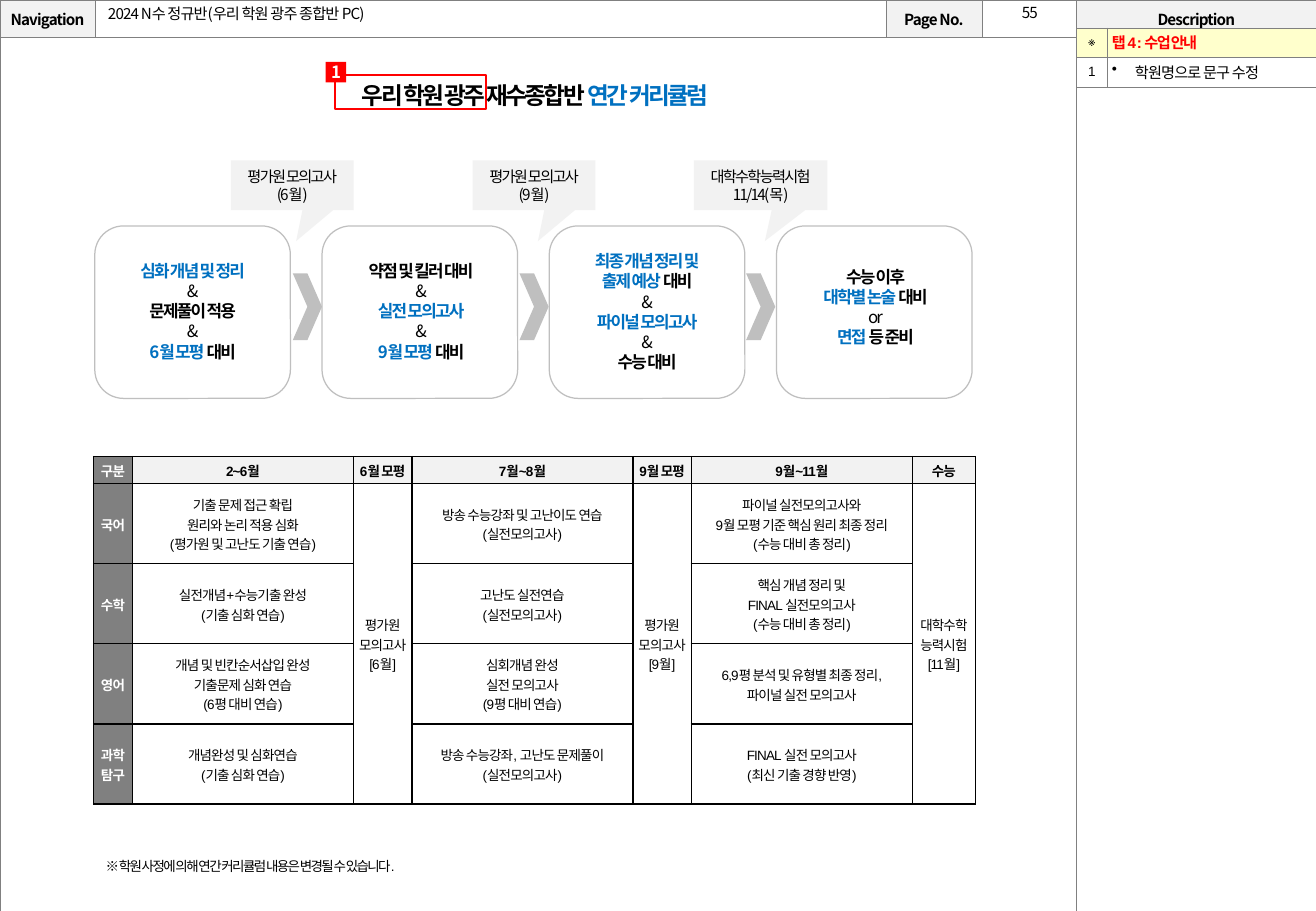
import pptx
import pptx.util
import pptx.dml.color
import pptx.enum.shapes
import pptx.enum.text
from lxml import etree

Inches, Pt = pptx.util.Inches, pptx.util.Pt
SHAPE = pptx.enum.shapes.MSO_SHAPE
ALIGN = pptx.enum.text.PP_ALIGN
MIDDLE = pptx.enum.text.MSO_ANCHOR.MIDDLE
A = "{http://schemas.openxmlformats.org/drawingml/2006/main}"
NOTO, ARIAL = "Noto Sans CJK KR", "Arial"
BLACK, WHITE, BLUE, RED = "000000", "FFFFFF", "0070C0", "FF0000"
PALE, MID, SILVER, YELLOW = "F2F2F2", "808080", "BFBFBF", "FFFFCC"


def paint(fill, color):
    fill.solid()
    fill.fore_color.rgb = pptx.dml.color.RGBColor.from_string(color)


def write(frame, lines, size, latin=NOTO, spc=0, color=BLACK, bold=False,
          align=ALIGN.CENTER, spacing=None):
    """Each line is a string or a list of (text, color, bold) runs."""
    for number, line in enumerate(lines):
        paragraph = frame.add_paragraph() if number else frame.paragraphs[0]
        paragraph.alignment = align
        paragraph.line_spacing = spacing
        runs = [(line, color, bold)] if isinstance(line, str) else line
        for text, run_color, run_bold in runs:
            run = paragraph.add_run()
            run.text = text
            font = {"size": Pt(size), "name": latin, "bold": run_bold}
            for key, value in font.items():
                setattr(run.font, key, value)
            paint(run.font.fill, run_color)
            properties = run.font._element
            properties.set("spc", str(int(spc * 100)))
            etree.SubElement(properties, A + "ea", typeface=NOTO)


deck = pptx.Presentation()
deck.slide_width, deck.slide_height = Inches(10.83), Inches(7.5)
slide = deck.slides.add_slide(deck.slide_layouts[6])
shapes = slide.shapes

# Tables: left, top, columns, rows, cell margins, border width, border colour
table_layouts = [
    (0, 0, [0.78, 6.51, 0.79, 0.78, 1.97], [0.24, 7.26], (0, 0, 0, 0), 0.25, MID),
    (8.86, 0.23, [0.25, 1.72], [0.24] * 2, (0.04,) * 4, 0.25, MID),
    (0.77, 3.76, [0.32, 1.82, 0.48, 1.82, 0.48, 1.82, 0.52], [0.22] + [0.66] * 4,
     (0.01, 0.01, 0.01, 0), 1, BLACK),
]
tables = []
for left, top, columns, rows, margins, border, border_color in table_layouts:
    table = shapes.add_table(len(rows), len(columns), Inches(left), Inches(top),
                             Inches(sum(columns)), Inches(sum(rows))).table
    table.first_row = table.horz_banding = False
    for column, width in zip(table.columns, columns):
        column.width = Inches(width)
    for row, height in zip(table.rows, rows):
        row.height = Inches(height)
    for cell in table.iter_cells():
        sides = ("margin_left", "margin_top", "margin_right", "margin_bottom")
        for side, margin in zip(sides, margins):
            setattr(cell, side, Inches(margin))
        cell.vertical_anchor = MIDDLE
        cell_properties = cell._tc.get_or_add_tcPr()
        for edge in ("lnL", "lnR", "lnT", "lnB"):
            line = etree.SubElement(cell_properties, A + edge, w=str(Pt(border)))
            solid = etree.SubElement(line, A + "solidFill")
            etree.SubElement(solid, A + "srgbClr", val=border_color)
        paint(cell.fill, WHITE)
    tables.append(table)
page_frame, description, curriculum = tables

# Page frame
page_frame.cell(1, 0).merge(page_frame.cell(1, 3))
for column, heading in ((0, "Navigation"), (2, "Page No."), (4, "Description")):
    cell = page_frame.cell(0, column)
    paint(cell.fill, PALE)
    write(cell.text_frame, [heading], 9, spc=-0.5, bold=True)

# Description panel
for column in range(2):
    paint(description.cell(0, column).fill, YELLOW)
notes = [
    (0, 0, "※", dict(size=8, spc=-1)),
    (0, 1, "탭 4 : 수업 안내", dict(size=9, spc=-1, color=RED, bold=True, align=ALIGN.LEFT)),
    (1, 0, "1", dict(size=8, spc=-1)),
    (1, 1, "학원명으로 문구 수정", dict(size=9, spc=-0.5, align=ALIGN.LEFT)),
]
for row, column, text, style in notes:
    write(description.cell(row, column).text_frame, [text], latin=ARIAL, spacing=0.9, **style)
bullet_properties = description.cell(1, 1).text_frame.paragraphs[0]._p.get_or_add_pPr()
bullet_properties.set("marL", str(Inches(0.19)))
bullet_properties.set("indent", str(Inches(-0.19)))
etree.SubElement(bullet_properties, A + "buChar", char="•")

# Curriculum table
curriculum_text = [
    ["구분", "2~6월", "6월 모평", "7월~8월", "9월 모평", "9월~11월", "수능"],
    ["국어", "기출 문제 접근 확립\n원리와 논리 적용 심화\n(평가원 및 고난도 기출 연습)",
     "평가원\n모의고사\n[6월]", "방송 수능강좌 및 고난이도 연습\n(실전모의고사)",
     "평가원\n모의고사\n[9월]",
     "파이널 실전모의고사와\n9월 모평 기준 핵심 원리 최종 정리\n(수능 대비 총 정리)",
     "대학수학\n능력시험\n[11월]"],
    ["수학", "실전개념+수능기출 완성\n(기출 심화 연습)", None,
     "고난도 실전연습\n(실전모의고사)", None,
     "핵심 개념 정리 및\nFINAL 실전모의고사\n(수능 대비 총 정리)", None],
    ["영어", "개념 및 빈칸순서삽입 완성\n기출문제 심화 연습\n(6평 대비 연습)", None,
     "심회개념 완성\n실전 모의고사\n(9평 대비 연습)", None,
     "6,9평 분석 및 유형별 최종 정리,\n파이널 실전 모의고사", None],
    ["과학\n탐구", "개념완성 및 심화연습\n(기출 심화 연습)", None,
     "방송 수능강좌, 고난도 문제풀이\n(실전모의고사)", None,
     "FINAL 실전 모의고사\n(최신 기출 경향 반영)", None],
]
for exam_column in (2, 4, 6):
    curriculum.cell(1, exam_column).merge(curriculum.cell(4, exam_column))
for row, texts in enumerate(curriculum_text):
    for column, text in enumerate(texts):
        if text is None:
            continue
        cell = curriculum.cell(row, column)
        paint(cell.fill, MID if column == 0 else PALE if row == 0 else WHITE)
        write(cell.text_frame, text.split("\n"), 8, ARIAL, -0.5,
              WHITE if column == 0 else BLACK, row == 0 or column == 0)

# Stage cards, arrows, highlight, badge and exam callouts
outlines = [(SHAPE.ROUNDED_RECTANGLE, 0.78 + 1.87 * i, 1.86, 1.61, 1.42, WHITE, SILVER, 0)
            for i in range(4)]
outlines += [(SHAPE.CHEVRON, 2.41 + 1.865 * i, 2.25, 0.24, 0.55, SILVER, None, 0)
             for i in range(3)]
outlines += [(SHAPE.RECTANGLE, 2.76, 0.62, 1.24, 0.28, None, RED, 1),
             (SHAPE.RECTANGLE, 2.68, 0.51, 0.17, 0.17, RED, None, 0)]
outlines += [(SHAPE.RECTANGULAR_CALLOUT, left, 1.32, width, 0.41, PALE, None, 0)
             for left, width in ((1.9, 1.01), (3.89, 1.01), (5.71, 1.1))]
drawn = []
for kind, left, top, width, height, fill, line, line_width in outlines:
    shape = shapes.add_shape(kind, Inches(left), Inches(top), Inches(width), Inches(height))
    shape.shadow.inherit = False
    if fill:
        paint(shape.fill, fill)
    else:
        shape.fill.background()
    if line:
        paint(shape.line.fill, line)
        shape.line.width = Pt(line_width)
    else:
        shape.line.fill.background()
    drawn.append(shape)

badge, callouts = drawn[8], drawn[9:]
for side in ("margin_left", "margin_top", "margin_right", "margin_bottom"):
    setattr(badge.text_frame, side, 0)
badge.text_frame.vertical_anchor = MIDDLE
write(badge.text_frame, ["1"], 10, color=WHITE, bold=True)

exams = [("평가원 모의고사", "(6월)"), ("평가원 모의고사", "(9월)"), ("대학수학능력시험", "11/14(목)")]
for callout, exam in zip(callouts, exams):
    callout.adjustments[0], callout.adjustments[1] = 0.032, 1.122
    callout.text_frame.word_wrap = False
    callout.text_frame.vertical_anchor = MIDDLE
    write(callout.text_frame, exam, 9, spc=-1, spacing=Pt(10.8))

# Text boxes: left, top, width, height, lines, style
amp = [("&", BLACK, False)]
stage = dict(size=10, spc=-1, bold=True, spacing=Pt(12))
header = dict(size=9, spc=-0.5, spacing=Pt(10.8))
text_boxes = [
    (8.09, -0.02, 0.77, 0.25, ["55"], header),
    (0.79, 0, 6.52, 0.23, ["2024 N수 정규반(우리 학원 광주 종합반 PC)"],
     dict(header, align=ALIGN.LEFT)),
    (0.78, 0.61, 7.25, 0.34,
     [[("우리 학원 광주 재수종합반 ", BLACK, True), ("연간 커리큘럼", BLUE, True)]],
     dict(size=14, latin=ARIAL, spc=-1.5, spacing=Pt(16.8))),
    (0.77, 7.01, 7.25, 0.24, ["※ 학원 사정에 의해 연간 커리큘럼 내용은 변경될 수 있습니다."],
     dict(size=8, latin=ARIAL, spc=-1, align=ALIGN.LEFT, spacing=Pt(9.6))),
    (0.78, 2.09, 1.61, 0.94,
     [[("심화 개념 및 정리", BLUE, True)], amp, "문제풀이 적용", amp,
      [("6월 모평 ", BLUE, True), ("대비", BLACK, True)]], stage),
    (2.66, 2.09, 1.61, 0.94,
     ["약점 및 킬러 대비", amp, [("실전 모의고사", BLUE, True)], amp,
      [("9월 모평 ", BLUE, True), ("대비", BLACK, True)]], stage),
    (4.52, 2.01, 1.61, 1.11,
     [[("최종 개념 정리 및", BLUE, True)], [("출제 예상 ", BLUE, True), ("대비", BLACK, True)],
      amp, [("파이널 모의고사", BLUE, True)], amp, "수능 대비"], stage),
    (6.4, 2.14, 1.61, 0.77,
     ["수능 이후", [("대학별 논술 ", BLUE, True), ("대비", BLACK, True)],
      [("or", BLACK, False)], [("면접", BLUE, True), (" 등 준비", BLACK, True)]], stage),
]
for left, top, width, height, lines, style in text_boxes:
    frame = shapes.add_textbox(Inches(left), Inches(top), Inches(width), Inches(height)).text_frame
    frame.word_wrap = True
    frame.vertical_anchor = MIDDLE
    write(frame, lines, **style)

deck.save("out.pptx")
